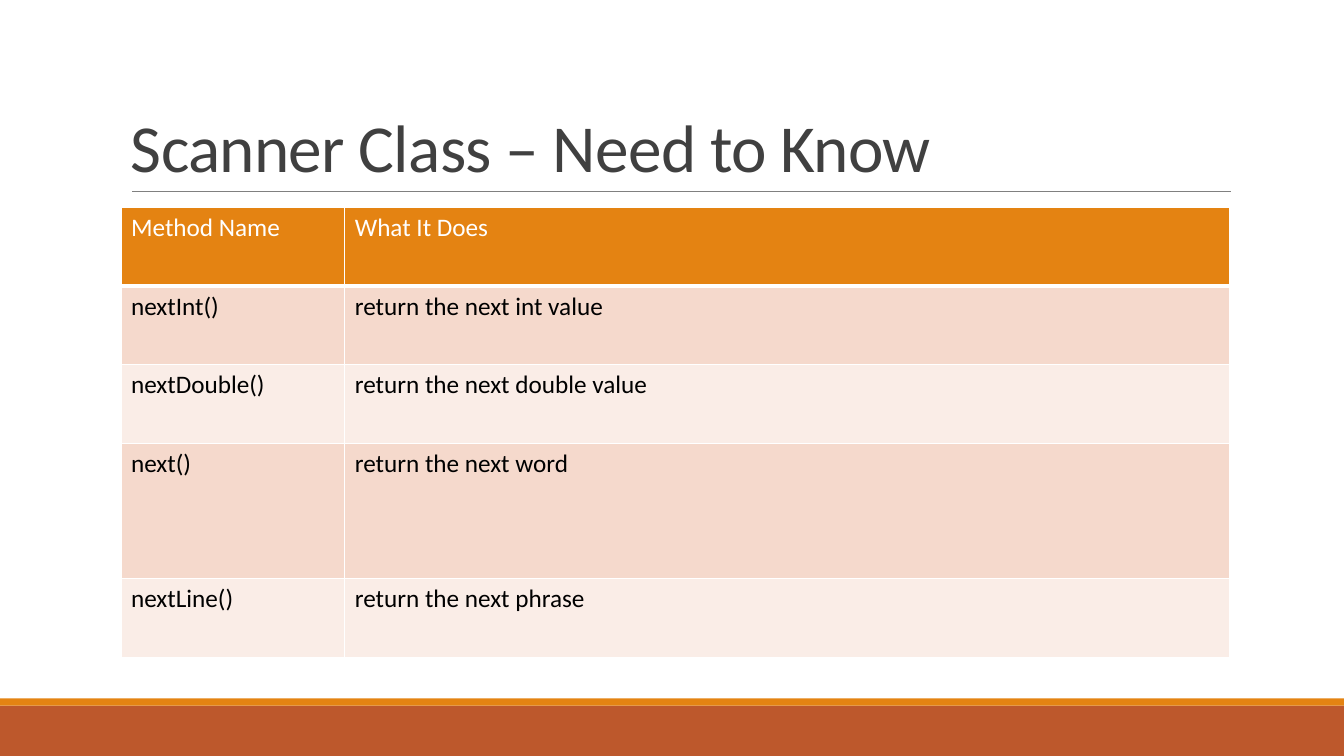
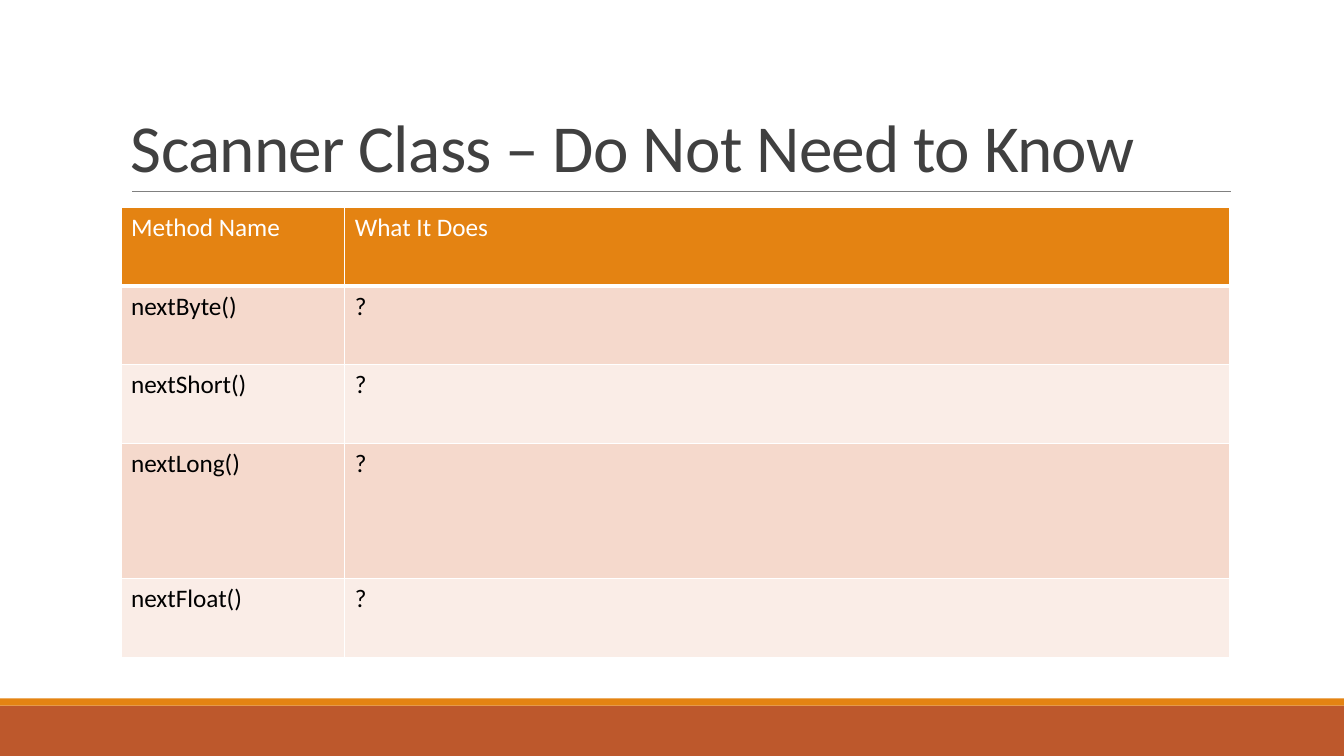
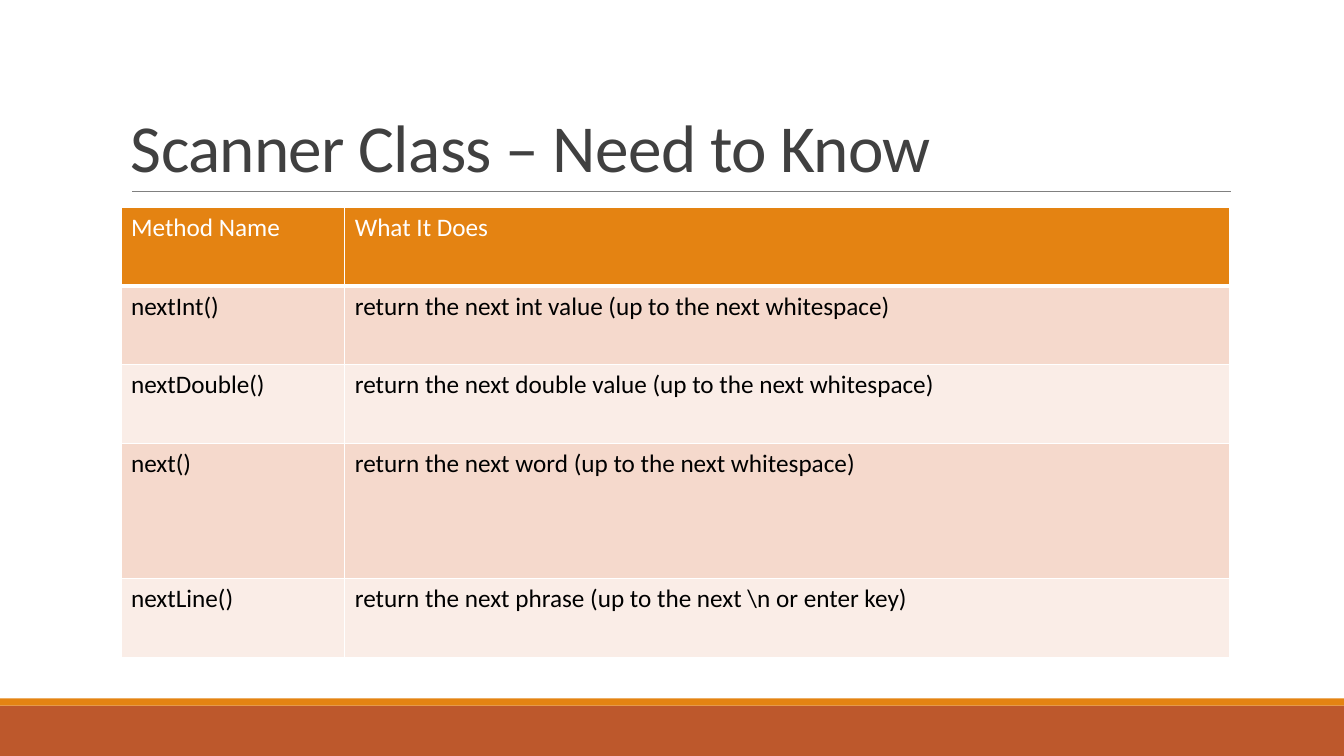
from dataclasses import dataclass

import lxml.etree
import pptx
import pptx.dml.color
import pptx.enum.shapes
import pptx.enum.text
import pptx.oxml.ns
import pptx.slide
import pptx.table
import pptx.text.text
import pptx.util

Inches = pptx.util.Inches
Pt = pptx.util.Pt
qn = pptx.oxml.ns.qn


@dataclass(frozen=True)
class Theme:
    font: str = "Calibri"
    title_size: float = 48
    table_size: float = 18
    title: str = "404040"
    rule: str = "808080"
    orange: str = "E48312"
    rust: str = "BD582C"
    odd_row: str = "F5D9CC"
    even_row: str = "FAEDE7"
    white: str = "FFFFFF"
    black: str = "000000"


@dataclass(frozen=True)
class Band:
    top: float
    height: float
    color: str


@dataclass(frozen=True)
class MethodPage:
    title: str
    methods: tuple[tuple[str, str], ...]


THEME = Theme()
PAGE_WIDTH, PAGE_HEIGHT = 13.33, 7.5
LEFT, CONTENT_WIDTH = 1.2, 11
BANDS = (Band(7, 0.5, THEME.rust), Band(6.93, 0.07, THEME.orange))
COLUMN_WIDTHS = (2.22, 8.78)
ROW_HEIGHTS = (0.78, 0.78, 0.78, 1.34, 0.78)
HEADINGS = ("Method Name", "What It Does")

PAGES = (
    MethodPage("Scanner Class – Need to Know", (
        ("nextInt()", "return the next int value"),
        ("nextDouble()", "return the next double value"),
        ("next()", "return the next word"),
        ("nextLine()", "return the next phrase"),
    )),
    MethodPage("Scanner Class – Do Not Need to Know", (
        ("nextByte()", "?"),
        ("nextShort()", "?"),
        ("nextLong()", "?"),
        ("nextFloat()", "?"),
    )),
    MethodPage("Scanner Class – Need to Know", (
        ("nextInt()", "return the next int value (up to the next whitespace)"),
        ("nextDouble()", "return the next double value (up to the next whitespace)"),
        ("next()", "return the next word (up to the next whitespace)"),
        ("nextLine()", r"return the next phrase (up to the next \n or enter key)"),
    )),
)


def rgb(color: str) -> pptx.dml.color.RGBColor:
    return pptx.dml.color.RGBColor.from_string(color)


def write(frame: pptx.text.text.TextFrame, text: str, *, size: float, color: str,
          line_spacing: float = 1.0, tracking: float = 0) -> None:
    """Fill the frame with one formatted paragraph; tracking is in points."""
    para = frame.paragraphs[0]
    para.line_spacing = line_spacing
    span = para.add_run()
    span.text = text
    span.font.name = THEME.font
    span.font.size = Pt(size)
    span.font.bold = False
    span.font.color.rgb = rgb(color)
    if tracking:
        span.font._element.set("spc", str(round(tracking * 100)))


def add_band(page: pptx.slide.Slide, band: Band) -> None:
    shape = page.shapes.add_shape(
        pptx.enum.shapes.MSO_SHAPE.RECTANGLE, 0, Inches(band.top),
        Inches(PAGE_WIDTH), Inches(band.height))
    shape.shadow.inherit = False
    shape.fill.solid()
    shape.fill.fore_color.rgb = rgb(band.color)
    shape.line.fill.background()


def add_title_rule(page: pptx.slide.Slide) -> None:
    rule = page.shapes.add_connector(
        pptx.enum.shapes.MSO_CONNECTOR.STRAIGHT,
        Inches(1.31), Inches(1.9), Inches(12.21), Inches(1.9))
    rule.line.color.rgb = rgb(THEME.rule)
    rule.line.width = Pt(0.5)
    lxml.etree.SubElement(rule._element.spPr, qn("a:effectLst"))


def add_title(page: pptx.slide.Slide, text: str) -> None:
    box = page.shapes.add_textbox(
        Inches(LEFT), Inches(0.31), Inches(CONTENT_WIDTH), Inches(1.59))
    box.text_frame.word_wrap = True
    box.text_frame.vertical_anchor = pptx.enum.text.MSO_ANCHOR.BOTTOM
    write(box.text_frame, text, size=THEME.title_size, color=THEME.title,
          line_spacing=0.85, tracking=-0.5)


def set_borders(cell: pptx.table._Cell, bottom: float) -> None:
    """Draw white borders, 1 point wide except for the bottom one."""
    properties = cell._tc.get_or_add_tcPr()
    for side, width in (("L", 1), ("R", 1), ("T", 1), ("B", bottom)):
        line = lxml.etree.SubElement(properties, qn(f"a:ln{side}"), w=str(Pt(width)))
        fill = lxml.etree.SubElement(line, qn("a:solidFill"))
        lxml.etree.SubElement(fill, qn("a:srgbClr"), val=THEME.white)


def add_method_table(page: pptx.slide.Slide, methods: tuple[tuple[str, str], ...]) -> None:
    rows = (HEADINGS, *methods)
    table = page.shapes.add_table(
        len(rows), len(HEADINGS), Inches(LEFT), Inches(2.06),
        Inches(CONTENT_WIDTH), Inches(sum(ROW_HEIGHTS))).table
    for column, width in zip(table.columns, COLUMN_WIDTHS):
        column.width = Inches(width)
    for row, height in zip(table.rows, ROW_HEIGHTS):
        row.height = Inches(height)
    for row_index, texts in enumerate(rows):
        is_header = row_index == 0
        row_fill = THEME.odd_row if row_index % 2 else THEME.even_row
        for column_index, text in enumerate(texts):
            cell = table.cell(row_index, column_index)
            set_borders(cell, bottom=3 if is_header else 1)
            cell.fill.solid()
            cell.fill.fore_color.rgb = rgb(THEME.orange if is_header else row_fill)
            write(cell.text_frame, text, size=THEME.table_size,
                  color=THEME.white if is_header else THEME.black)


def main() -> None:
    deck = pptx.Presentation()
    deck.slide_width = Inches(PAGE_WIDTH)
    deck.slide_height = Inches(PAGE_HEIGHT)
    blank_layout = deck.slide_layouts[6]
    for content in PAGES:
        page = deck.slides.add_slide(blank_layout)
        for band in BANDS:
            add_band(page, band)
        add_title_rule(page)
        add_title(page, content.title)
        add_method_table(page, content.methods)
    deck.save("out.pptx")


if __name__ == "__main__":
    main()
